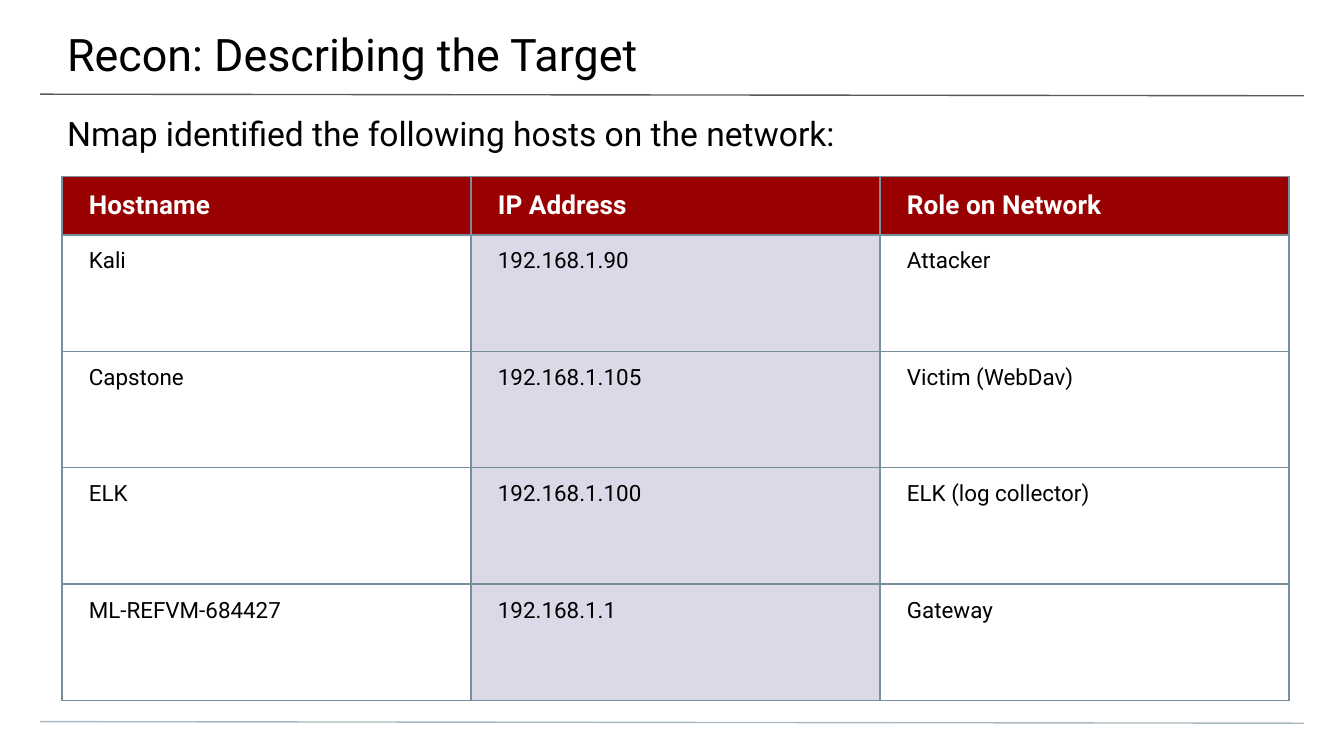
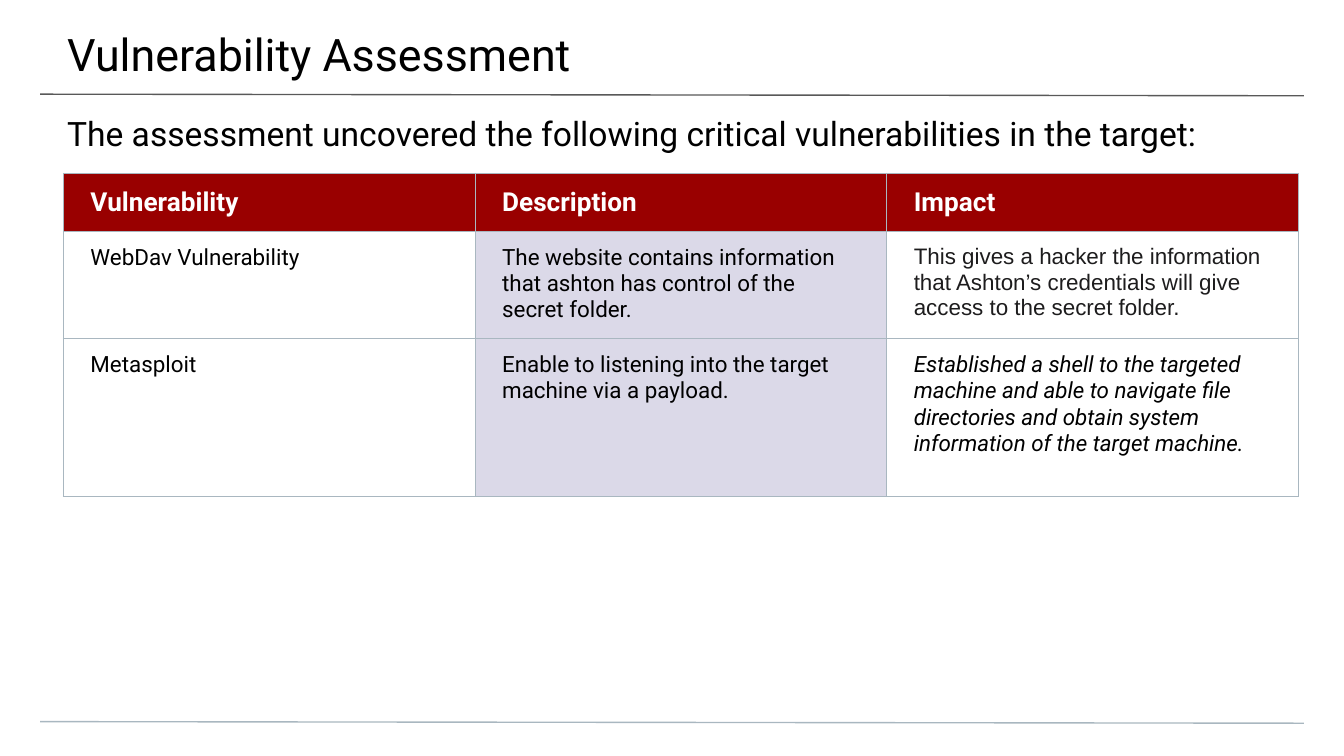
from dataclasses import dataclass

from lxml import etree
from pptx import Presentation
from pptx.dml.color import RGBColor
from pptx.enum.shapes import MSO_CONNECTOR
from pptx.enum.text import MSO_ANCHOR
from pptx.oxml.ns import qn
from pptx.util import Cm, Pt

STRAIGHT = MSO_CONNECTOR.STRAIGHT
TOP = MSO_ANCHOR.TOP
MIDDLE = MSO_ANCHOR.MIDDLE


@dataclass(frozen=True)
class Theme:
    font: str = "Roboto"
    alternate_font: str = "Arial"
    text: str = "000000"
    soft_text: str = "1D1C1D"
    header_text: str = "FFFFFF"
    header_fill: str = "990000"
    middle_fill: str = "DBD9E8"
    title_rule: str = "595959"
    footer_rule: str = "A9B7C0"
    host_border: str = "78909C"
    title_size: int = 24
    subtitle_size: int = 18
    header_size: int = 14
    body_size: int = 12
    line_width: float = 0.75


theme = Theme()


def add_run(paragraph, text, size, color=theme.text, font=theme.font, bold=False, italic=False):
    run = paragraph.add_run()
    run.text = text
    run.font.name = font
    run.font.size = Pt(size)
    run.font.color.rgb = RGBColor.from_string(color)
    run.font.bold = bold
    run.font.italic = italic


def add_borders(cell, color):
    properties = cell._tc.get_or_add_tcPr()
    for side in ("lnL", "lnR", "lnT", "lnB"):
        line = etree.SubElement(properties, qn(f"a:{side}"), w=str(Pt(theme.line_width)))
        fill = etree.SubElement(line, qn("a:solidFill"))
        etree.SubElement(fill, qn("a:srgbClr"), val=color)


# Styles are keyed by (row, column) and apply to single body cells.
slides = [
    {
        "title": "Recon: Describing the Target",
        "subtitle": "Nmap identified the following hosts on the network:",
        "position": (1.17, 3.34),
        "column_width": 7.73,
        "row_heights": [1.1, 2.2, 2.2, 2.2, 2.2],
        "border": theme.host_border,
        "rows": [
            ("Hostname", "IP Address", "Role on Network"),
            ("Kali", "192.168.1.90", "Attacker"),
            ("Capstone", "192.168.1.105", "Victim (WebDav)"),
            ("ELK", "192.168.1.100", "ELK (log collector)"),
            ("ML-REFVM-684427", "192.168.1.1", "Gateway"),
        ],
        "styles": {},
    },
    {
        "title": "Vulnerability Assessment",
        "subtitle": "The assessment uncovered the following critical vulnerabilities in the target:",
        "position": (1.2, 3.28),
        "column_width": 7.78,
        "row_heights": [1.09, 2.02, 2.99],
        "border": theme.footer_rule,
        "rows": [
            ("Vulnerability", "Description", "Impact"),
            (
                "WebDav Vulnerability",
                "The website contains information that ashton has control of the secret folder.",
                "This gives a hacker the information that Ashton’s credentials will give "
                "access to the secret folder.",
            ),
            (
                "Metasploit",
                "Enable to listening into the target machine via a payload.",
                "Established a shell to the targeted machine and able to navigate file "
                "directories and obtain system information of the target machine.",
            ),
        ],
        "styles": {
            (1, 2): {"font": theme.alternate_font, "color": theme.soft_text},
            (2, 2): {"italic": True},
        },
    },
]

presentation = Presentation()
presentation.slide_width = Cm(25.4)
presentation.slide_height = Cm(14.29)

for content in slides:
    slide = presentation.slides.add_slide(presentation.slide_layouts[6])

    for rule_top, color in ((1.78, theme.title_rule), (13.64, theme.footer_rule)):
        rule = slide.shapes.add_connector(
            STRAIGHT, Cm(0.76), Cm(rule_top), Cm(24.64), Cm(rule_top + 0.03)
        )
        rule.line.color.rgb = RGBColor.from_string(color)
        rule.line.width = Pt(theme.line_width)
        etree.SubElement(rule._element.spPr, qn("a:effectLst"))

    for text, size, top, height, margins in (
        (content["title"], theme.title_size, 0, 1.47, (1.27, 0.51, 0.76, 0.25)),
        (content["subtitle"], theme.subtitle_size, 1.88, 1.02, (1.27, 0.25, 1.27, 0)),
    ):
        box = slide.shapes.add_textbox(Cm(0), Cm(top), Cm(25.4), Cm(height))
        frame = box.text_frame
        frame.word_wrap = True
        frame.vertical_anchor = TOP
        frame.margin_left, frame.margin_top, frame.margin_right, frame.margin_bottom = map(Cm, margins)
        add_run(frame.paragraphs[0], text, size)

    rows = content["rows"]
    left, top = content["position"]
    column_count = len(rows[0])
    table = slide.shapes.add_table(
        len(rows), column_count, Cm(left), Cm(top),
        Cm(content["column_width"] * column_count), Cm(sum(content["row_heights"])),
    ).table
    table.horz_banding = False
    for column in table.columns:
        column.width = Cm(content["column_width"])

    for row_index, row in enumerate(rows):
        table.rows[row_index].height = Cm(content["row_heights"][row_index])
        for column_index, text in enumerate(row):
            is_header = row_index == 0
            cell = table.cell(row_index, column_index)
            cell.margin_left = cell.margin_right = Cm(0.51)
            cell.margin_top = cell.margin_bottom = Cm(0.25)
            cell.vertical_anchor = MIDDLE if is_header else TOP
            add_borders(cell, content["border"])

            if is_header or column_index == 1:
                cell.fill.solid()
                fill_color = theme.header_fill if is_header else theme.middle_fill
                cell.fill.fore_color.rgb = RGBColor.from_string(fill_color)
            else:
                cell.fill.background()

            paragraph = cell.text_frame.paragraphs[0]
            if is_header:
                add_run(paragraph, text, theme.header_size, theme.header_text, bold=True)
            else:
                style = content["styles"].get((row_index, column_index), {})
                add_run(paragraph, text, theme.body_size, **style)

presentation.save("out.pptx")
